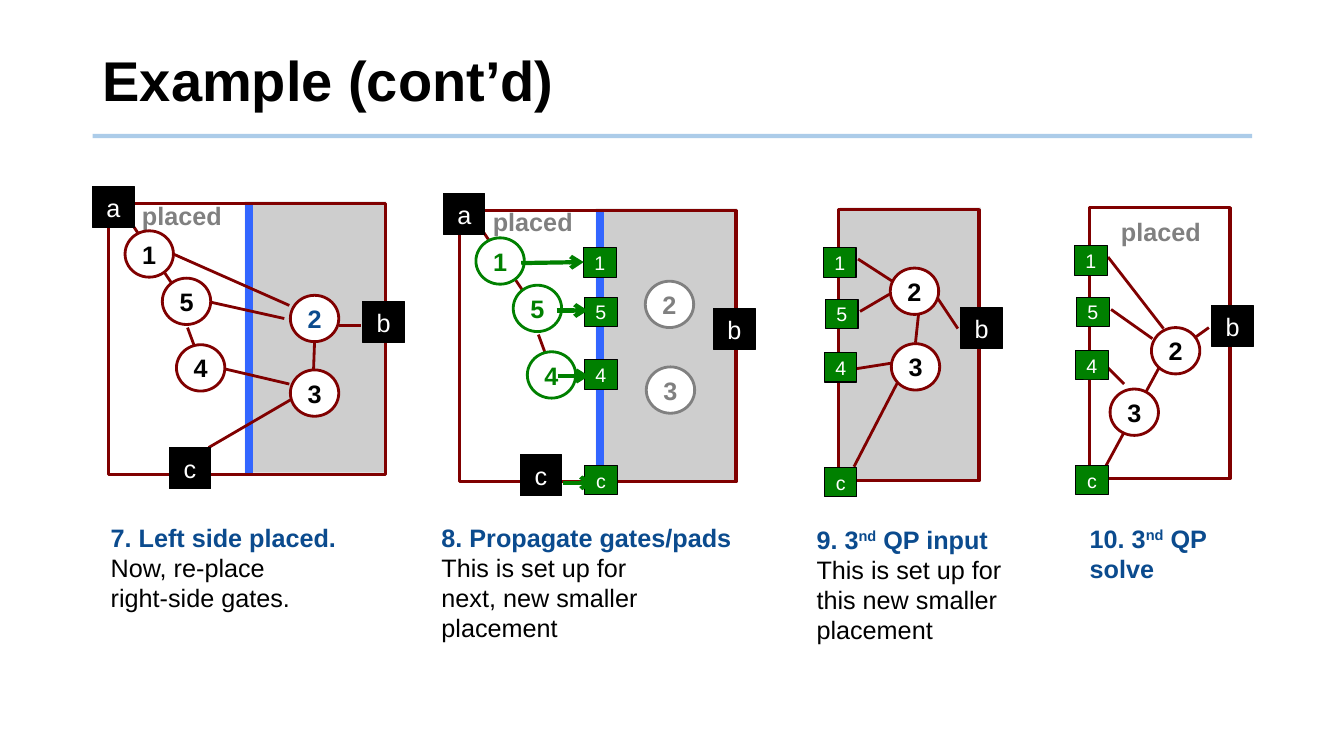
import pptx
import pptx.util
import pptx.dml.color
import pptx.enum.shapes
import pptx.enum.text
import pptx.oxml.ns
from lxml import etree

Pt = pptx.util.Pt
Kind = pptx.enum.shapes.MSO_SHAPE
Align = pptx.enum.text.PP_ALIGN
Anchor = pptx.enum.text.MSO_ANCHOR
Fit = pptx.enum.text.MSO_AUTO_SIZE
qn = pptx.oxml.ns.qn

hues = {"black": "000000", "white": "FFFFFF", "gray": "808080", "pale": "CECECE",
        "navy": "0B4B8E", "red": "800000", "green": "008000", "blue": "3366FF",
        "sky": "5B9BD5"}

deck = pptx.Presentation()
deck.slide_width = pptx.util.Inches(13.33)
deck.slide_height = pptx.util.Inches(7.5)
slide = deck.slides.add_slide(deck.slide_layouts[6])

# Grid of 1333 columns by 750 rows
col = deck.slide_width / 1333
row = deck.slide_height / 750


def hue(name):
    return pptx.dml.color.RGBColor.from_string(hues[name])


def put(text, kind=None, at=(0, 0), size=(100, 40), fill=None, edge=None, wide=0.75,
        ink="black", points=18, bold=False, body=()):
    """Place a shape, or a text box if no kind is given; ^ marks raised text."""
    spot = [round(v) for v in (at[0] * col, at[1] * row, size[0] * col, size[1] * row)]
    if kind is None:
        box = slide.shapes.add_textbox(*spot)
    else:
        box = slide.shapes.add_shape(kind, *spot)
        box.shadow.inherit = False
        if fill:
            box.fill.solid()
            box.fill.fore_color.rgb = hue(fill)
        else:
            box.fill.background()
        if edge:
            box.line.color.rgb = hue(edge)
            box.line.width = Pt(wide)
        else:
            box.line.fill.background()
    if not text:
        return box
    frame = box.text_frame
    frame.word_wrap = False
    if kind is None:
        frame.auto_size = Fit.SHAPE_TO_FIT_TEXT
    else:
        frame.vertical_anchor = Anchor.MIDDLE
        frame.margin_left = frame.margin_right = 0
    for n, part in enumerate((text, *body)):
        para = frame.add_paragraph() if n else frame.paragraphs[0]
        para.alignment = Align.CENTER if kind else Align.LEFT
        for m, line in enumerate(part.split("\n")):
            if m:
                para.add_line_break()
            for k, piece in enumerate(line.split("^")):
                run = para.add_run()
                run.text = piece
                run.font.name = "Arial"
                run.font.size = Pt(points)
                run.font.bold = bold and n == 0
                run.font.color.rgb = hue("black" if n else ink)
                if k % 2:
                    run.font._element.set("baseline", "30000")
    return box


# Title and rule
title = put("Example (cont’d)", at=(92, 28), size=(1150, 110), points=40, bold=True)
title.text_frame.auto_size = Fit.NONE
title.text_frame.vertical_anchor = Anchor.MIDDLE
title.text_frame.paragraphs[0].line_spacing = 0.9

# Panels: places are counted from the top left corner of each frame
left = {"1": (16, 27), "5": (53, 74), "4": (67, 140)}
chain = [(24, 22, 71, 92), (92, 161, 78, 123)]
pads = {"a": (-16, -17), "b": (252, 97), "c": (60, 242)}
ports = {"1": (-15, 38), "5": (-13, 89), "4": (-14, 142), "c": (-14, 256)}
panels = [
    dict(at=(108, 202), wide=274, shade=135, bar=139, tag=(23, -8), pads=pads, ports={},
         gates=[(left, "red", "black"), ({"2": (180, 91)}, "red", "navy"),
                ({"3": (180, 165)}, "red", "black")],
         links=chain + [(102, 98, 174, 114), (228, 121, 250, 121), (57, 47, 179, 101),
                        (99, 242, 183, 193), (179, 179, 115, 164), (204, 137, 203, 165)],
         note=(-8, 311), span=246, head="7. Left side placed.",
         body=["Now, re-place\nright-side gates."]),
    dict(at=(456, 209), wide=274, shade=135, bar=139, tag=(23, -9), pads=pads,
         ports={"1": (123, 37), "5": (124, 86), "4": (124, 148), "c": (124, 253)},
         gates=[(left, "green", "green"),
                ({"2": (184, 70), "3": (185, 155)}, "gray", "gray")],
         links=chain,
         hops=[(61, 52, 123, 51), (96, 99, 127, 99), (97, 164, 128, 164),
               (102, 270, 133, 270)],
         note=(-28, 304), span=311, head="8. Propagate gates/pads",
         body=["This is set up for\nnext, new smaller\nplacement"]),
    dict(at=(832, 208), wide=139, shade=1, pads={"b": (121, 97)}, ports=ports,
         gates=[({"2": (51, 58), "3": (52, 133)}, "red", "black")],
         links=[(19, 49, 53, 71), (118, 118, 98, 88), (21, 101, 50, 84),
                (15, 255, 60, 168), (76, 132, 79, 104), (16, 158, 54, 152)],
         note=(-32, 307), span=205, head="9. 3^nd^ QP input",
         body=["This is set up for\nthis new smaller\nplacement"]),
    dict(at=(1081, 206), wide=139, tag=(21, 4), pads={"b": (121, 97)}, ports=ports,
         gates=[({"2": (61, 119), "3": (20, 180)}, "red", "black")],
         links=[(18, 49, 73, 120), (118, 119, 83, 144), (21, 101, 62, 130),
                (69, 158, 16, 256), (34, 175, 18, 159)],
         note=(-10, 308), span=147, head="10. 3^nd^ QP\nsolve", body=[]),
]

rule = ((0, 0), [(92, 135, 1242, 135)], "sky", 3)
for panel in [None, *panels]:
    # Ground, then lines, then gates, pads and ports, then arrows
    stages = [rule]
    if panel:
        x, y = panel["at"]
        if "shade" in panel:
            put("", Kind.RECTANGLE, (x + panel["shade"], y - 2), (140, 269), fill="pale")
        bars = [(panel["bar"], 0, panel["bar"], 269)] if "bar" in panel else []
        stages = [((x, y), bars, "blue", 6), "frame",
                  ((x, y), panel["links"], "red", 2), "marks",
                  ((x, y), panel.get("hops", []), "green", 3)]
    for stage in stages:
        if stage == "frame":
            put("", Kind.RECTANGLE, (x, y), (panel["wide"], 269), edge="red", wide=2.25)
        elif stage == "marks":
            if "tag" in panel:
                dx, dy = panel["tag"]
                put("placed", at=(x + dx, y + dy), ink="gray", bold=True)
            for gates, edge, ink in panel["gates"]:
                for name, (dx, dy) in gates.items():
                    put(name, Kind.OVAL, (x + dx, y + dy), (48, 46), fill="white",
                        edge=edge, wide=2, ink=ink, bold=True)
            for name, (dx, dy) in panel["pads"].items():
                put(name, Kind.RECTANGLE, (x + dx, y + dy), (41, 41), fill="black",
                    edge="black", ink="white")
            for name, (dx, dy) in panel["ports"].items():
                put(name, Kind.RECTANGLE, (x + dx, y + dy), (32, 29), fill="green",
                    edge="black", ink="white", points=14)
        else:
            (ox, oy), lines, tint, wide = stage
            for x1, y1, x2, y2 in lines:
                line = slide.shapes.add_connector(
                    pptx.enum.shapes.MSO_CONNECTOR.STRAIGHT,
                    round((ox + x1) * col), round((oy + y1) * row),
                    round((ox + x2) * col), round((oy + y2) * row))
                line.line.color.rgb = hue(tint)
                line.line.width = Pt(wide)
                props = line._element.spPr
                etree.SubElement(props, qn("a:effectLst"))
                if tint == "sky":
                    shade = props.find(".//" + qn("a:srgbClr"))
                    etree.SubElement(shade, qn("a:alpha"), val="50000")
                if tint == "green":
                    etree.SubElement(props.find(qn("a:ln")), qn("a:tailEnd"), type="arrow")
    # Caption
    if panel:
        dx, dy = panel["note"]
        rows = 1 + sum(part.count("\n") + 1 for part in panel["body"])
        rows += panel["head"].count("\n")
        put(panel["head"], at=(x + dx, y + dy), size=(panel["span"], 10 + 30 * rows),
            ink="navy", bold=True, body=panel["body"])

deck.save("out.pptx")
